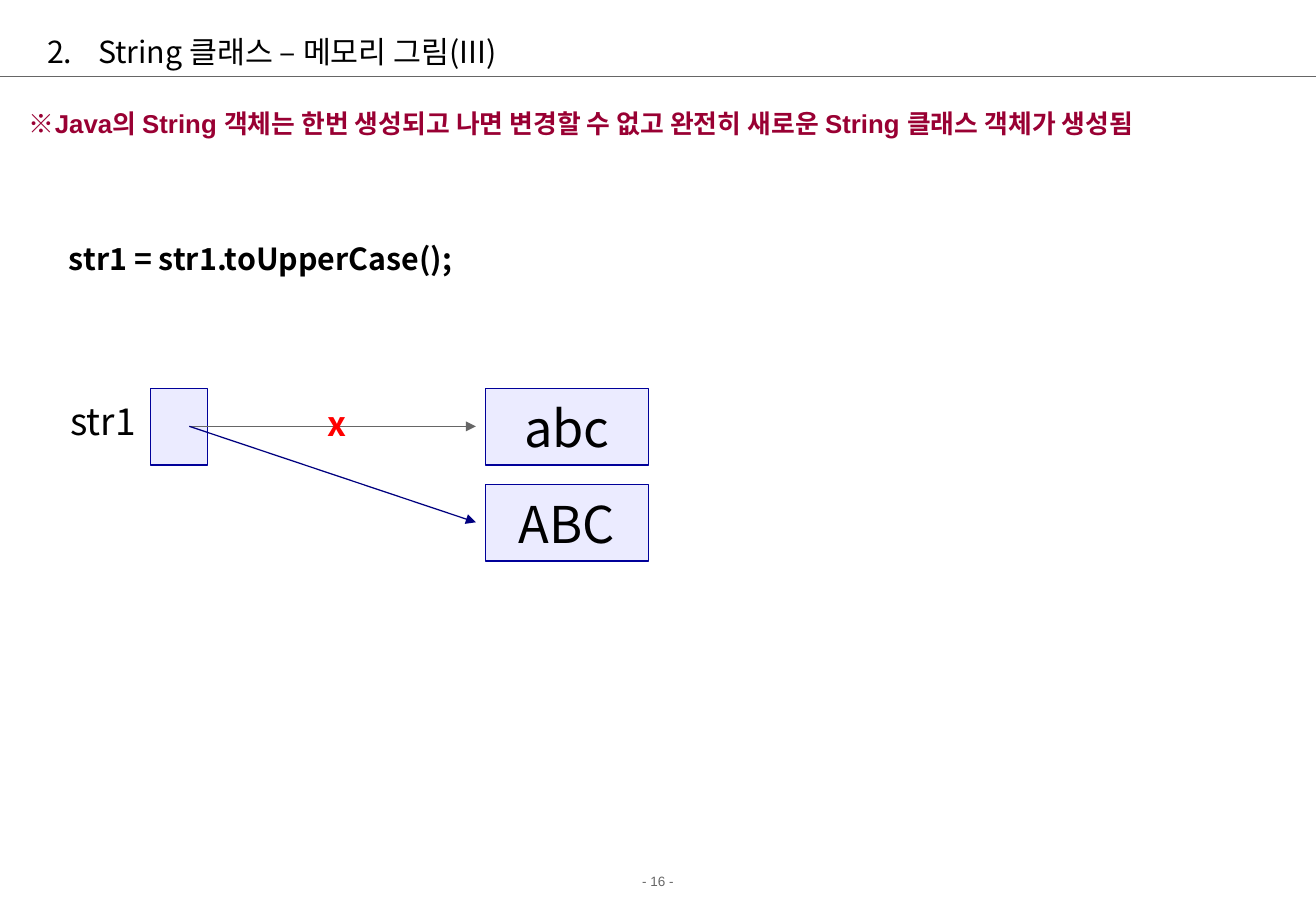
from lxml.etree import SubElement
from pptx import Presentation
from pptx.dml.color import RGBColor
from pptx.enum.shapes import MSO_CONNECTOR, MSO_SHAPE
from pptx.enum.text import MSO_ANCHOR, PP_ALIGN
from pptx.oxml.ns import qn
from pptx.util import Inches, Pt

COLORS = {
    "black": "000000", "gray": "666666", "navy": "000080", "border": "000099",
    "box": "EBEBFF", "red": "FF0000", "crimson": "990033",
}
KOREAN = "Noto Sans CJK KR"
LATIN = "Arial"
DASH = "Montserrat"


def color(name):
    return RGBColor.from_string(COLORS[name])


def write(shape, runs, size, color_name, bold=False, align=PP_ALIGN.LEFT, inset=(0, 0),
          anchor=MSO_ANCHOR.TOP, indent=(0, 0), spacing=None, number=None):
    """Fill a shape with one paragraph made of (text, font) runs."""
    frame = shape.text_frame
    frame.word_wrap = True
    frame.vertical_anchor = anchor
    frame.margin_left = frame.margin_right = Inches(inset[0])
    frame.margin_top = frame.margin_bottom = Inches(inset[1])
    paragraph = frame.paragraphs[0]
    paragraph.alignment = align
    if spacing:
        paragraph.line_spacing = spacing
    properties = paragraph._p.get_or_add_pPr()
    properties.set("marL", str(Inches(indent[0])))
    properties.set("indent", str(Inches(indent[1])))
    if number:
        SubElement(properties, qn("a:buFont"), typeface=KOREAN)
        SubElement(properties, qn("a:buAutoNum"), type="arabicPeriod", startAt=str(number))
    paragraph.font.size = Pt(size)
    paragraph.font.bold = bold
    paragraph.font.color.rgb = color(color_name)
    for text, font in runs:
        run = paragraph.add_run()
        run.text = text
        run.font.name = font
        SubElement(run._r.get_or_add_rPr(), qn("a:ea"), typeface=KOREAN)


presentation = Presentation()
presentation.slide_width = Inches(10.84)
presentation.slide_height = Inches(7.5)
slide = presentation.slides.add_slide(presentation.slide_layouts[6])

# Memory boxes: the variable and the two String objects
box_height = 0.63
for left, top, width, value in [
    (1.24, 3.2, 0.47, ""), (4, 3.2, 1.34, "abc"), (4, 3.99, 1.34, "ABC"),
]:
    box = slide.shapes.add_shape(
        MSO_SHAPE.RECTANGLE, Inches(left), Inches(top), Inches(width), Inches(box_height))
    box.shadow.inherit = False
    box.fill.solid()
    box.fill.fore_color.rgb = color("box")
    box.line.color.rgb = color("border")
    box.line.width = Pt(0.75)
    if value:
        write(box, [(value, KOREAN)], 30, "black", align=PP_ALIGN.CENTER,
              anchor=MSO_ANCHOR.MIDDLE)

# Title rule, old reference and new reference
for start, end, line_color, has_arrow in [
    ((0, 0.63), (10.84, 0.63), "gray", False),
    ((1.56, 3.51), (3.92, 3.51), "gray", True),
    ((1.56, 3.51), (3.92, 4.3), "navy", True),
]:
    connector = slide.shapes.add_connector(
        MSO_CONNECTOR.STRAIGHT, *(Inches(value) for value in start + end))
    connector.line.color.rgb = color(line_color)
    connector.line.width = Pt(0.75)
    if has_arrow:
        SubElement(connector.line._get_or_add_ln(), qn("a:tailEnd"), type="triangle")
    SubElement(connector._element.spPr, qn("a:effectLst"))

title = [("String 클래스 ", KOREAN), ("– ", DASH), ("메모리 그림(III)", KOREAN)]
rule = [
    ("※", KOREAN),
    ("Java의 String 객체는 한번 생성되고 나면 변경할 수 없고 "
     "완전히 새로운 String 클래스 객체가 생성됨", LATIN),
]
centered = {"align": PP_ALIGN.CENTER}
padded = {"inset": (0.1, 0.05)}
for position, runs, size, color_name, options in [
    ((0.29, 0.21, 10.17, 0.42), title, 18, "black",
     {**padded, "anchor": MSO_ANCHOR.MIDDLE, "indent": (0.42, -0.42), "number": 2}),
    ((0.14, 0.76, 10.47, 0.47), rule, 15.3, "crimson",
     {**padded, "bold": True, "indent": (0.33, -0.33), "spacing": 1.3}),
    ((0.14, 1.78, 10.17, 0.55), [("str1 = str1.toUpperCase();", KOREAN)], 18, "black",
     {**padded, "bold": True, "indent": (0.33, 0), "spacing": 1.5}),
    ((0.38, 3.28, 0.94, 0.37), [("str1", KOREAN)], 22, "black", centered),
    ((2.5, 3.32, 0.55, 0.33), [("x", KOREAN)], 20, "red", {**centered, "bold": True}),
    ((0, 7.14, 10.84, 0.24), [("- 16 -", LATIN)], 8, "gray", {**centered, **padded}),
]:
    text_box = slide.shapes.add_textbox(*(Inches(value) for value in position))
    write(text_box, runs, size, color_name, **options)

presentation.save("out.pptx")
